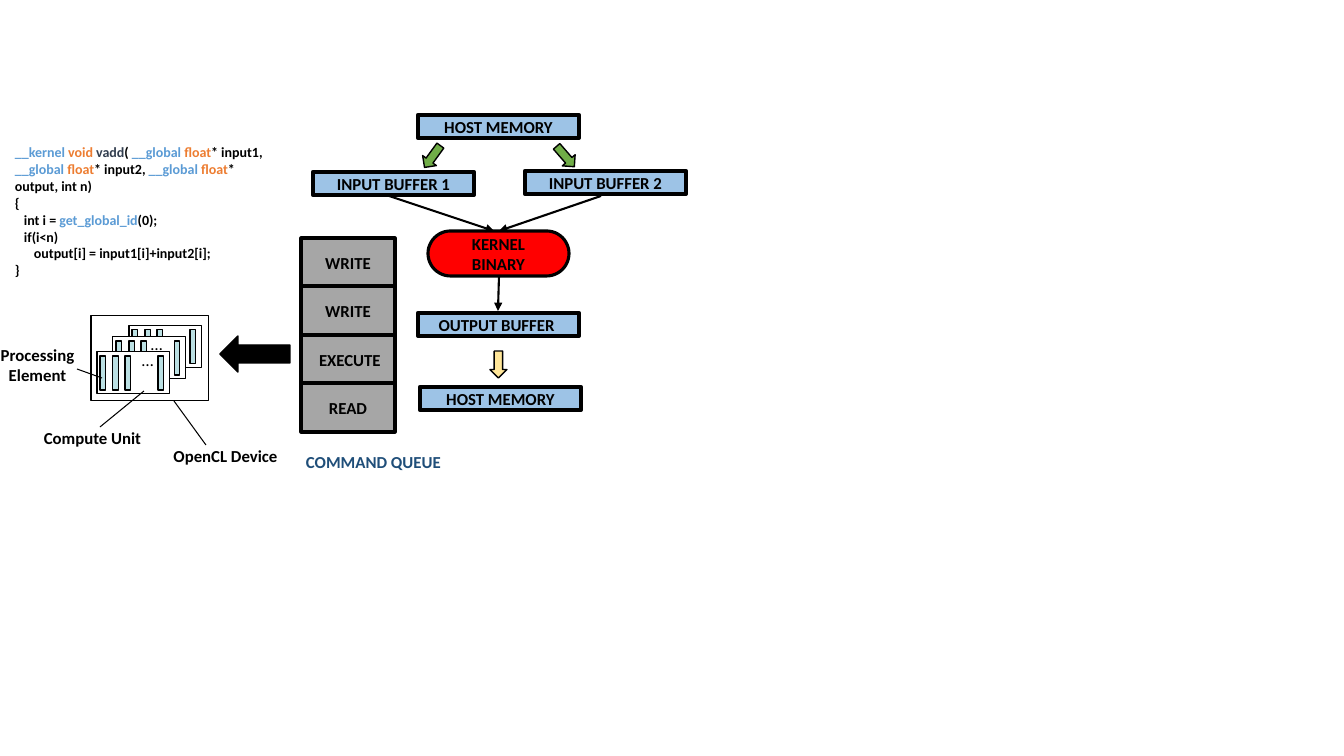
import dataclasses

import lxml.etree
import pptx
import pptx.dml.color
import pptx.enum.shapes
import pptx.enum.text
import pptx.oxml.ns
import pptx.util

PIXEL = 914400 / 100.8
Preset = pptx.enum.shapes.MSO_SHAPE
Align = pptx.enum.text.PP_ALIGN
Anchor = pptx.enum.text.MSO_ANCHOR


@dataclasses.dataclass(frozen=True)
class Theme:
    """Colours, font and sizes of the slide."""
    font: str = "Calibri"
    label_size: int = 12
    code_size: int = 10
    black: str = "000000"
    white: str = "FFFFFF"
    buffer: str = "9DC3E6"
    kernel: str = "FF0000"
    queue: str = "A6A6A6"
    queue_title: str = "1F4E79"
    element: str = "BBE0E3"
    split_arrow: str = "70AD47"
    result_arrow: str = "FFE699"
    keyword: str = "5B9BD5"
    type_name: str = "ED7D31"
    function: str = "333F50"


theme = Theme()


def add_box(preset, bounds, fill, line_width):
    """Add a filled preset shape with a black outline; bounds are in pixels."""
    shape = slide.shapes.add_shape(preset, *[round(value * PIXEL) for value in bounds])
    shape.shadow.inherit = False
    shape.fill.solid()
    shape.fill.fore_color.rgb = pptx.dml.color.RGBColor.from_string(fill)
    shape.line.color.rgb = pptx.dml.color.RGBColor.from_string(theme.black)
    shape.line.width = pptx.util.Pt(line_width)
    return shape


def write(shape, text, size=theme.label_size, color=theme.black, bold=True,
          align=Align.CENTER, anchor=Anchor.MIDDLE, indent=0):
    """Add a paragraph, given as a string or as (text, colour) runs; indent is in pixels."""
    frame = shape.text_frame
    frame.word_wrap = True
    frame.vertical_anchor = anchor
    paragraph = frame.add_paragraph() if frame.text else frame.paragraphs[0]
    paragraph.alignment = align
    if indent:
        paragraph._p.get_or_add_pPr().set("marL", str(round(indent * PIXEL)))
    for content, run_color in [(text, color)] if isinstance(text, str) else text:
        run = paragraph.add_run()
        run.text = content
        run.font.name = theme.font
        run.font.size = pptx.util.Pt(size)
        run.font.bold = bold
        run.font.color.rgb = pptx.dml.color.RGBColor.from_string(run_color)


presentation = pptx.Presentation()
presentation.slide_width = round(1344 * PIXEL)
presentation.slide_height = round(756 * PIXEL)
slide = presentation.slides.add_slide(presentation.slide_layouts[6])

# Buffers and kernel
for text, left, top in [
    ("HOST MEMORY", 418, 115),
    ("INPUT BUFFER 1", 313, 172),
    ("INPUT BUFFER 2", 525, 171),
    ("OUTPUT BUFFER ", 418, 313),
    ("HOST MEMORY", 420, 387),
]:
    write(add_box(Preset.RECTANGLE, (left, top, 161, 23), theme.buffer, 3), text)

kernel = add_box(Preset.ROUNDED_RECTANGLE, (428, 231, 141, 45), theme.kernel, 2.25)
kernel.adjustments[0] = 0.5
write(kernel, "KERNEL BINARY")

# Device with compute units, each holding processing elements
add_box(Preset.RECTANGLE, (91, 316, 118, 85), theme.white, 0.75)
for left, top, ellipsis_offset in [(129, 326, None), (113, 337, (28, -8)), (97, 352, (35, -7))]:
    add_box(Preset.RECTANGLE, (left, top, 73, 42), theme.white, 0.75)
    for offset in (3, 16, 28, 61):
        add_box(Preset.RECTANGLE, (left + offset, top + 4, 6, 34), theme.element, 0.75)
    if ellipsis_offset:
        bounds = (left + ellipsis_offset[0], top + ellipsis_offset[1], 44, 30)
        ellipsis_box = slide.shapes.add_textbox(*[round(value * PIXEL) for value in bounds])
        write(ellipsis_box, "…", bold=False, align=Align.LEFT, anchor=Anchor.TOP)

# Command queue
for row, command in enumerate(["WRITE", "WRITE", " EXECUTE", "READ"]):
    write(add_box(Preset.RECTANGLE, (301, 238 + round(row * 48.4), 94, 49), theme.queue, 2.25), command)

# Labels
for text, bounds, color, align in [
    ("Processing Element", (-22, 340, 119, 50), theme.black, Align.CENTER),
    ("Compute Unit", (20, 423, 145, 30), theme.black, Align.CENTER),
    ("OpenCL Device", (141, 441, 169, 30), theme.black, Align.CENTER),
    ("COMMAND QUEUE", (296, 447, 168, 30), theme.queue_title, Align.LEFT),
]:
    label = slide.shapes.add_textbox(*[round(value * PIXEL) for value in bounds])
    write(label, text, color=color, align=align, anchor=Anchor.TOP)

# Kernel source code
code_box = slide.shapes.add_textbox(*[round(value * PIXEL) for value in (5, 139, 286, 146)])
global_float = [("__global ", theme.keyword), ("float", theme.type_name)]
signature = [
    ("__kernel ", theme.keyword), ("void ", theme.type_name), ("vadd", theme.function),
    ("( ", theme.black), *global_float, ("* input1, ", theme.black),
    *global_float, ("* input2, ", theme.black),
    *global_float, ("* output, int n)", theme.black),
]
assignment = [("int i = ", theme.black), ("get_global_id", theme.keyword), ("(0);", theme.black)]
for text, indent in [
    (signature, 0),
    ("{", 0),
    (assignment, 9),
    ("if(i<n)", 9),
    ("output[i] = input1[i]+input2[i];", 19),
    ("}", 0),
]:
    write(code_box, text, size=theme.code_size, align=Align.LEFT, anchor=Anchor.TOP, indent=indent)

# Block arrows
for bounds, rotation, fill in [
    ((220, 336, 70, 36), 0, theme.black),
    ((419, 148, 27, 17), 306, theme.split_arrow),
    ((552, 148, 27, 17), 229, theme.split_arrow),
    ((485, 356, 27, 17), 270, theme.result_arrow),
]:
    add_box(Preset.LEFT_ARROW, bounds, fill, 1).rotation = rotation

# Label leaders and data flow arrows
for points, width, has_head in [
    ((100, 427, 144, 391), 0.75, False),
    ((206, 445, 174, 401), 0.75, False),
    ((77, 369, 102, 378), 0.75, False),
    ((389, 196, 494, 231), 1.5, True),
    ((601, 196, 499, 231), 1.5, True),
    ((499, 276, 498, 311), 1.5, True),
]:
    connector = slide.shapes.add_connector(
        pptx.enum.shapes.MSO_CONNECTOR.STRAIGHT, *[round(value * PIXEL) for value in points])
    connector.line.color.rgb = pptx.dml.color.RGBColor.from_string(theme.black)
    connector.line.width = pptx.util.Pt(width)
    if has_head:
        lxml.etree.SubElement(
            connector.line._get_or_add_ln(), pptx.oxml.ns.qn("a:tailEnd"), type="triangle")
    lxml.etree.SubElement(connector._element.spPr, pptx.oxml.ns.qn("a:effectLst"))

presentation.save("out.pptx")
